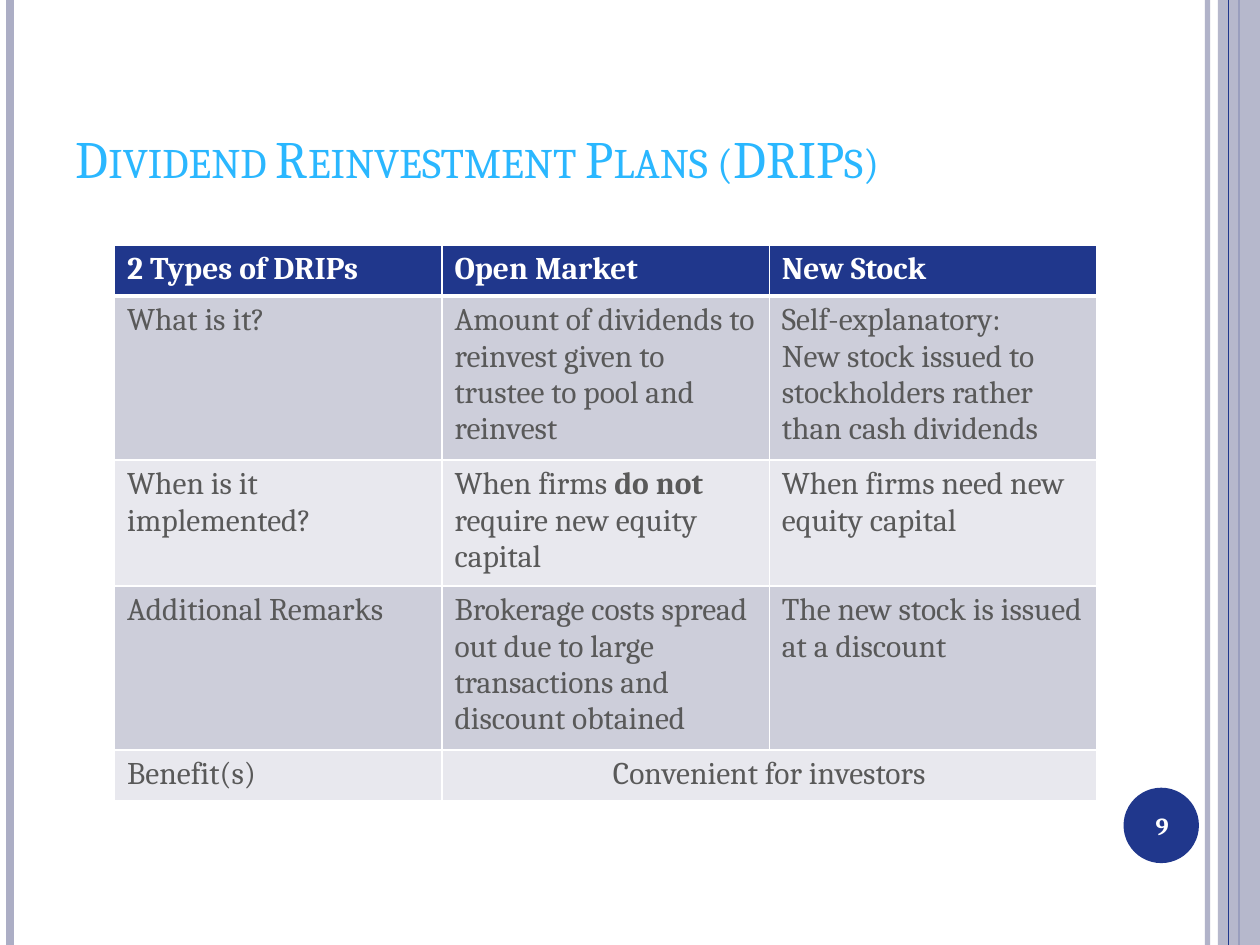
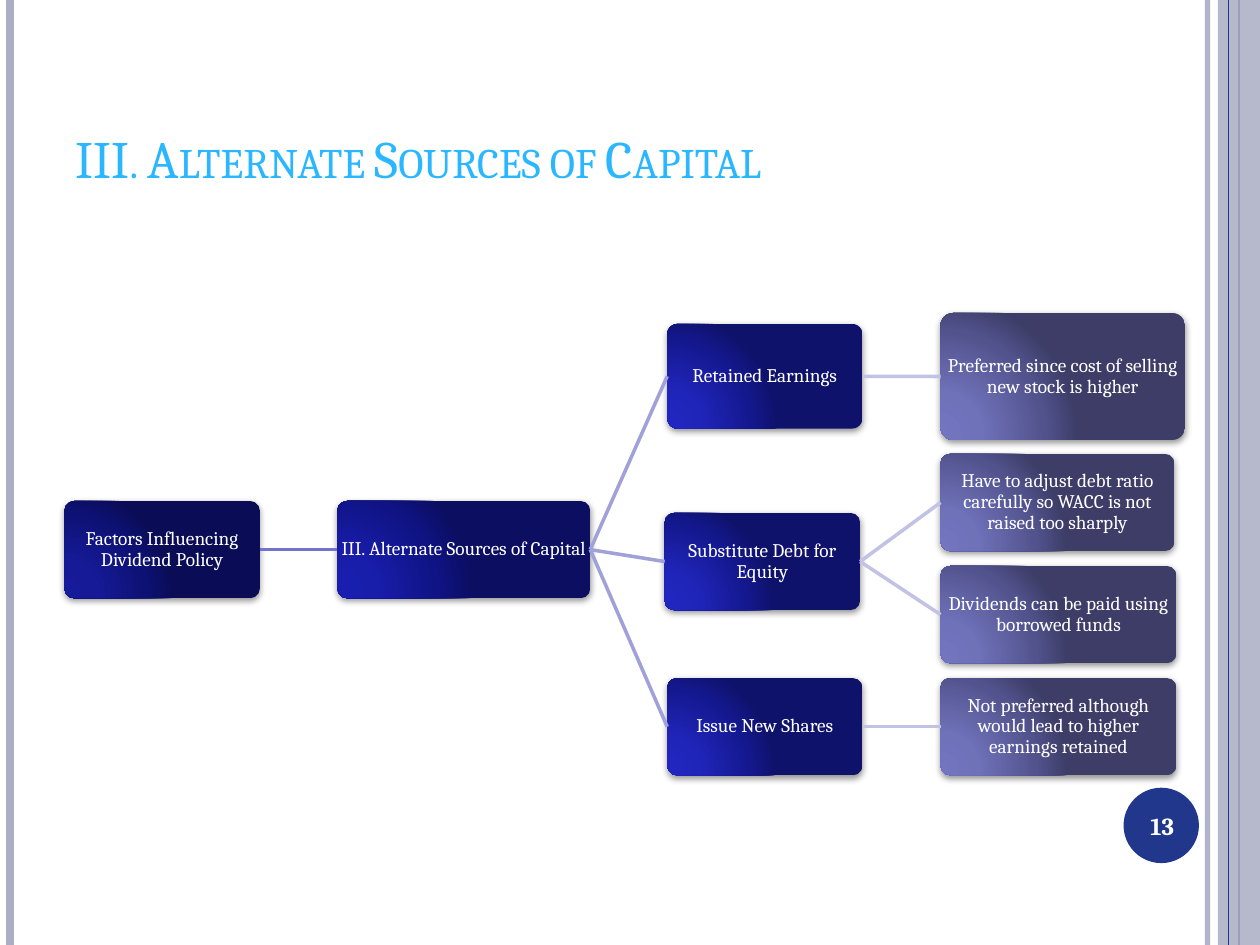
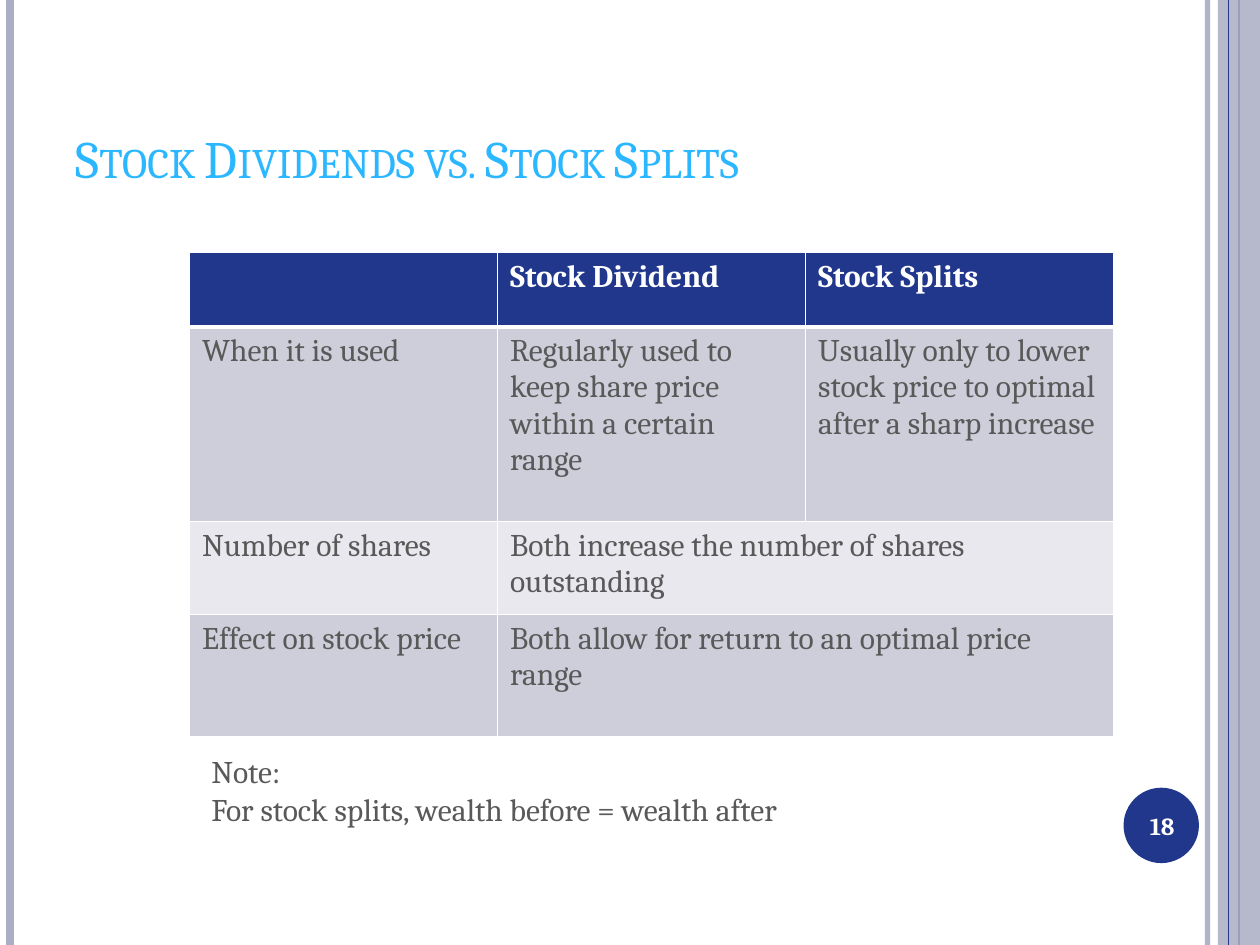
from pptx import Presentation
from pptx.dml.color import RGBColor
from pptx.enum.shapes import MSO_CONNECTOR, MSO_SHAPE
from pptx.enum.text import MSO_ANCHOR, MSO_AUTO_SIZE, PP_ALIGN
from pptx.oxml import parse_xml
from pptx.oxml.ns import nsdecls, qn
from pptx.util import Cm, Pt

COLORS = {
    "title": "2AB7FF", "navy": "20378C", "band": "ACAEC5", "text": "595959",
    "white": "FFFFFF", "row_odd": "CDCEDA", "row_even": "E8E8EE", "shadow": "000000",
}

# Gradient stops of the boxes and colour of the link leading to them, by tree level
STOPS = (0, 30, 75, 100)
LEVELS = [
    {"grad": ("161B9B", "161A96", "0D1173", "0A0C55"), "link": None},
    {"grad": ("191EB0", "181DAA", "0F1383", "0B0E61"), "link": "7173CC"},
    {"grad": ("2126C1", "2025BA", "14188F", "0F126A"), "link": "A0A1D9"},
    {"grad": ("7375C0", "6F71B9", "52538D", "3D3D68"), "link": "C1C2E4"},
]


def rgb(color):
    return RGBColor.from_string(COLORS.get(color, color))


def xml(tag, body):
    """Parse one drawing element; tag may carry attributes."""
    name = tag.split()[0]
    return parse_xml(f"<a:{tag} {nsdecls('a')}>{body}</a:{name}>")


class Deck:
    FONT = "Cambria"

    def __init__(self):
        self.prs = Presentation()
        self.prs.slide_width, self.prs.slide_height = Cm(25.4), Cm(19.05)
        self.layout = self.prs.slide_layouts[5]
        self.s = None

    # Slides and shared frame
    def slide(self, title, number):
        first = self.s is None
        self.s = self.prs.slides.add_slide(self.layout)
        if first:
            self.frame()
        self.title(title)
        self.text(number, (22.58, 15.93, 1.7, 1.45), 14, "white", True,
                  PP_ALIGN.CENTER, MSO_ANCHOR.MIDDLE)

    def frame(self):
        """Draw the bands and the number disc, then hand them to the layout."""
        parts = [
            self.band_line(24.34, "band", 3, 93),
            self.band_line(0.21, "band", 4.5),
            self.band_line(24.98, "navy", 1.5),
            self.shape(MSO_SHAPE.RECTANGLE, (24.55, 0, 0.85, 19.05), "band", 87),
            self.band_line(24.77, "navy", 0.75),
            self.shape(MSO_SHAPE.OVAL, (22.65, 15.88, 1.52, 1.52), "navy"),
        ]
        for part in parts:
            self.layout.shapes.element.append(part.element)

    def title(self, text):
        sp = self.s.shapes.title
        sp.left, sp.top, sp.width, sp.height = map(Cm, (1.27, 0.76, 20.75, 3.18))
        tf = sp.text_frame
        tf.text = text
        tf.auto_size, tf.word_wrap = MSO_AUTO_SIZE.NONE, True
        tf.vertical_anchor = MSO_ANCHOR.BOTTOM
        self.format(tf, 30, "title", align=PP_ALIGN.LEFT)
        tf.paragraphs[0].runs[0].font._element.set("cap", "small")

    # Text
    def format(self, tf, size, color, bold=False, align=None):
        for p in tf.paragraphs:
            p.alignment = align
            for r in p.runs:
                r.font.name, r.font.size = self.FONT, Pt(size)
                r.font.bold = bold
                r.font.color.rgb = rgb(color)

    def text(self, text, box, size, color, bold=False, align=None, anchor=MSO_ANCHOR.TOP):
        tf = self.s.shapes.add_textbox(*map(Cm, box)).text_frame
        tf.word_wrap, tf.vertical_anchor = True, anchor
        tf.text = text
        self.format(tf, size, color, bold, align)

    # Shapes and lines
    def shape(self, kind, box, color=None, alpha=None):
        sp = self.s.shapes.add_shape(kind, *map(Cm, box))
        sp.shadow.inherit = False
        sp.line.fill.background()
        if color:
            sp.fill.solid()
            sp.fill.fore_color.rgb = rgb(color)
            self.opacity(sp, alpha)
        return sp

    def line(self, start, end, color, width):
        cx = self.s.shapes.add_connector(MSO_CONNECTOR.STRAIGHT, *map(Cm, start + end))
        cx.line.color.rgb, cx.line.width = rgb(color), Pt(width)
        cx.element.spPr.append(xml("effectLst", ""))
        return cx

    def band_line(self, x, color, width, alpha=None):
        cx = self.line((x, 0), (x, 19.05), color, width)
        self.opacity(cx, alpha)
        return cx

    def opacity(self, sp, percent):
        if percent:
            clr = next(sp.element.spPr.iter(qn("a:srgbClr")))
            clr.append(xml(f'alpha val="{percent * 1000}"', ""))

    # Tree boxes
    def node(self, text, level, box, parent=None):
        sp = self.shape(MSO_SHAPE.ROUNDED_RECTANGLE, box)
        sp.adjustments[0] = 0.1
        stops = "".join(f'<a:gs pos="{pos * 1000}"><a:srgbClr val="{c}"/></a:gs>'
                        for pos, c in zip(STOPS, LEVELS[level]["grad"]))
        spPr = sp.element.spPr
        spPr.find(qn("a:prstGeom")).addnext(xml(
            'gradFill rotWithShape="1"',
            f'<a:gsLst>{stops}</a:gsLst><a:path path="circle">'
            '<a:fillToRect l="5000" t="100000" r="120000" b="10000"/></a:path>'))
        spPr.find(qn("a:effectLst")).append(xml(
            'outerShdw blurRad="50800" dist="20320" dir="5400000" rotWithShape="0"',
            f'<a:srgbClr val="{COLORS["shadow"]}"><a:alpha val="42000"/></a:srgbClr>'))
        tf = sp.text_frame
        tf.margin_left = tf.margin_right = tf.margin_top = tf.margin_bottom = 0
        tf.word_wrap, tf.vertical_anchor = True, MSO_ANCHOR.MIDDLE
        tf.text = text
        tf.paragraphs[0].line_spacing = 0.9
        self.format(tf, 11, "white", align=PP_ALIGN.CENTER)
        if parent:
            cx = self.line((0, 0), (1, 1), LEVELS[level]["link"], 2)
            cx.begin_connect(parent, 3)
            cx.end_connect(sp, 1)
        return sp

    # Tables: None joins a cell to the one before it, *stars* mark bold words
    def table(self, rows, left, top, col_width, heights, joined_align=None):
        n = len(rows[0])
        tbl = self.s.shapes.add_table(len(rows), n, Cm(left), Cm(top),
                                      Cm(col_width * n), Cm(sum(heights))).table
        for i, (row, height) in enumerate(zip(rows, heights)):
            tbl.rows[i].height = Cm(height)
            for j, text in enumerate(row):
                cell = tbl.cell(i, j)
                self.cell_style(cell, i)
                if text is None:
                    tbl.cell(i, j - 1).merge(cell)
                    self.format(tbl.cell(i, j - 1).text_frame, 18, "text", align=joined_align)
                else:
                    self.cell_text(cell.text_frame, text, header=i == 0)

    def cell_text(self, tf, text, header):
        plain, *rest = text.split("*")
        tf.text = plain
        for part in rest:
            tf.paragraphs[0].add_run().text = part
        self.format(tf, 18, "white" if header else "text", header)
        if rest:
            tf.paragraphs[0].runs[1].font.bold = True

    def cell_style(self, cell, row):
        cell.fill.solid()
        cell.fill.fore_color.rgb = rgb(
            "navy" if row == 0 else "row_odd" if row % 2 else "row_even")
        heavy = {0: "B", 1: "T"}.get(row)
        tcPr = cell._tc.get_or_add_tcPr()
        for k, side in enumerate("LRTB"):
            width = Pt(3 if side == heavy else 1)
            tcPr.insert(k, xml(f'ln{side} w="{width}"',
                               f'<a:solidFill><a:srgbClr val="{COLORS["white"]}"/></a:solidFill>'))


def main():
    deck = Deck()

    # Reinvestment plans
    deck.slide("Dividend Reinvestment Plans (DRIPs)", "9")
    deck.table([
        ("2 Types of DRIPs", "Open Market", "New Stock"),
        ("What is it?",
         "Amount of dividends to reinvest given to trustee to pool and reinvest",
         "Self-explanatory:\nNew stock issued to stockholders rather than cash dividends"),
        ("When is it implemented?",
         "When firms *do not *require new equity capital",
         "When firms need new equity capital"),
        ("Additional Remarks",
         "Brokerage costs spread out due to large transactions and discount obtained",
         "The new stock is issued at a discount"),
        ("Benefit(s)", "Convenient for investors", None),
    ], 2.31, 4.94, 6.6, (1.03, 3.18, 2.45, 3.18, 1.03), PP_ALIGN.CENTER)

    # Sources of capital
    deck.slide("III. Alternate Sources of Capital", "13")
    w, h = 3.94, 1.96
    leaf_x, leaf_y, pitch = 18.96, 9.15, 2.26
    root = deck.node("Factors Influencing Dividend Policy", 0, (1.3, 10.1, w, h))
    sources = deck.node("III. Alternate Sources of Capital", 1, (6.8, 10.1, 5.1, h), root)
    retained = deck.node("Retained Earnings", 2, (13.45, 6.53, w, 2.11), sources)
    debt = deck.node("Substitute Debt for Equity", 2, (13.4, 10.34, w, h), sources)
    shares = deck.node("Issue New Shares", 2, (13.45, leaf_y + 2 * pitch, w, h), sources)
    deck.node("Preferred since cost of selling new stock is higher", 3,
              (leaf_x, 6.31, 4.93, 2.56), retained)
    leaves = [
        ("Have to adjust debt ratio carefully so WACC is not raised too sharply", 4.72, debt),
        ("Dividends can be paid using borrowed funds", 4.76, debt),
        ("Not preferred although would lead to higher earnings retained", 4.76, shares),
    ]
    for i, (text, width, parent) in enumerate(leaves):
        deck.node(text, 3, (leaf_x, leaf_y + i * pitch, width, h), parent)

    # Dividends and splits
    deck.slide("Stock Dividends vs. Stock Splits", "18")
    deck.table([
        ("", "Stock Dividend", "Stock Splits"),
        ("When it is used",
         "Regularly used to keep share price within a certain range",
         "Usually only to lower stock price to optimal after a sharp increase"),
        ("Number of shares", "Both increase the number of shares outstanding", None),
        ("Effect on stock price", "Both allow for return to an optimal price range", None),
    ], 3.82, 5.09, 6.21, (1.5, 3.92, 1.88, 2.46))
    deck.text("Note:\vFor stock splits, wealth before = wealth after",
              (4.01, 15.04, 16.31, 1.8), 18, "text")

    deck.prs.save("out.pptx")


if __name__ == "__main__":
    main()
